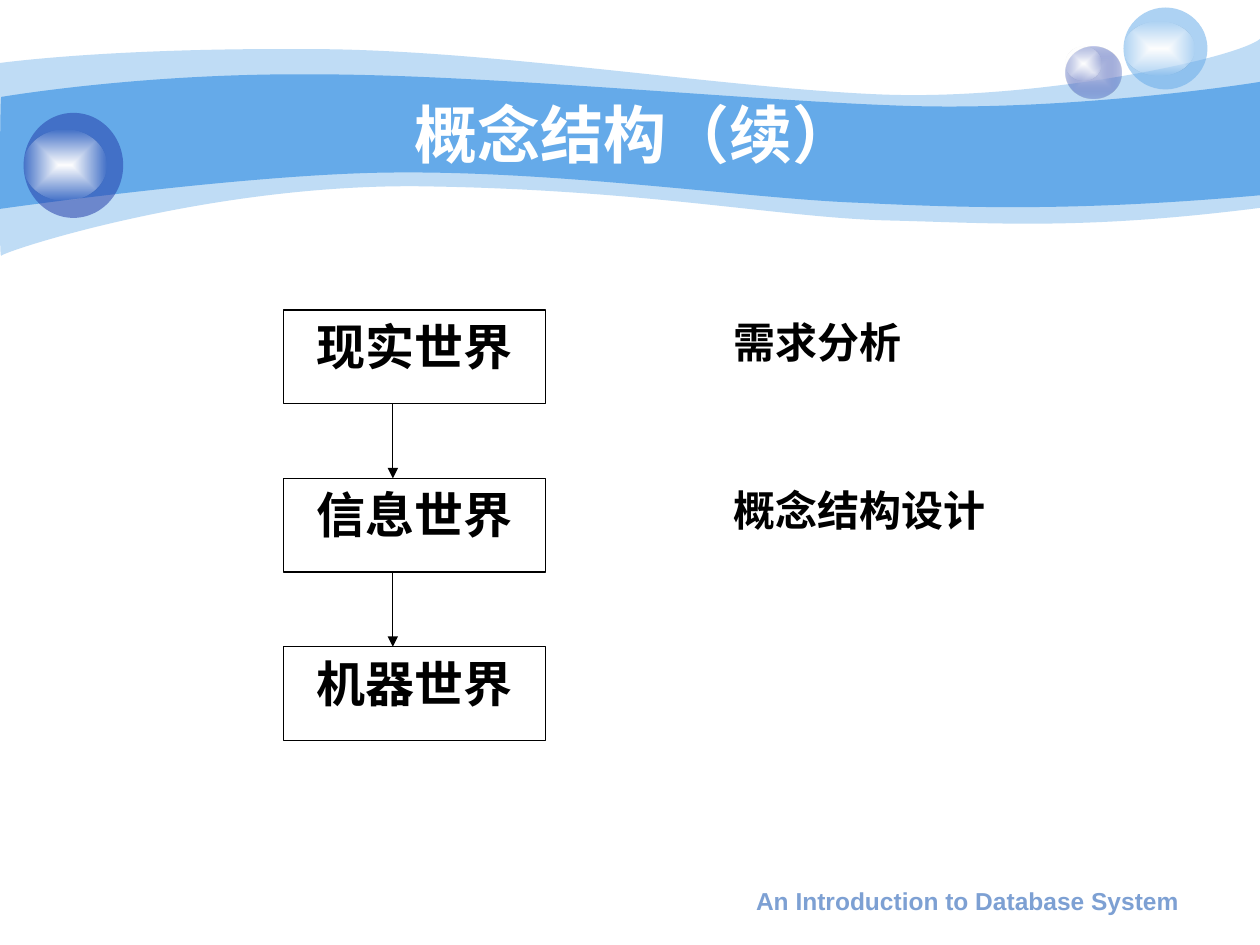
from dataclasses import dataclass

from lxml import etree
from pptx import Presentation
from pptx.dml.color import RGBColor
from pptx.enum.shapes import MSO_CONNECTOR, MSO_SHAPE
from pptx.enum.text import MSO_ANCHOR, PP_ALIGN
from pptx.oxml.ns import qn
from pptx.util import Pt

CENTER, JUSTIFY = PP_ALIGN.CENTER, PP_ALIGN.JUSTIFY
TOP, MIDDLE = MSO_ANCHOR.TOP, MSO_ANCHOR.MIDDLE
OVAL, RECTANGLE = MSO_SHAPE.OVAL, MSO_SHAPE.RECTANGLE
STRAIGHT = MSO_CONNECTOR.STRAIGHT


@dataclass(frozen=True)
class Theme:
    sky: str = "65AAE9"
    navy: str = "233DA9"
    mist: str = "C7CEE9"
    white: str = "FFFFFF"
    ink: str = "000000"
    footer: str = "7DA0D3"
    heading_font: str = "Arial"
    body_font: str = "Times New Roman"
    title_size: float = 36
    world_size: float = 28
    phase_size: float = 24
    footer_size: float = 14
    line_width: float = 0.75


def set_alpha(color_parent, percent):
    color = color_parent.find(".//" + qn("a:srgbClr"))
    etree.SubElement(color, qn("a:alpha"), val=str(percent * 1000))


class SlideBuilder:
    def __init__(self, slide, theme):
        self.shapes = slide.shapes
        self.theme = theme

    def solid(self, shape, color, alpha=100):
        shape.shadow.inherit = False
        shape.line.fill.background()
        shape.fill.solid()
        shape.fill.fore_color.rgb = RGBColor.from_string(color)
        if alpha < 100:
            set_alpha(shape._element.spPr.find(qn("a:solidFill")), alpha)

    def band(self, start, curves, color, alpha=100):
        points = [(Pt(x), Pt(y)) for curve in curves for x, y in curve]
        builder = self.shapes.build_freeform(Pt(start[0]), Pt(start[1]))
        builder.add_line_segments(points, close=True)
        shape = builder.convert_to_shape()
        outline = shape._element.spPr.find(".//" + qn("a:path"))
        corners = outline.findall(qn("a:lnTo"))
        for first in range(0, len(curves) * 3, 3):
            bezier = etree.Element(qn("a:cubicBezTo"))
            corners[first].addprevious(bezier)
            for corner in corners[first:first + 3]:
                bezier.append(corner[0])
                outline.remove(corner)
        self.solid(shape, color, alpha)

    def ball(self, left, top, width, height, color, alpha):
        shape = self.shapes.add_shape(OVAL, Pt(left), Pt(top), Pt(width), Pt(height))
        self.solid(shape, color, alpha)

    def glow(self, left, top, width, height, center, edge, edge_alpha):
        shape = self.shapes.add_shape(OVAL, Pt(left), Pt(top), Pt(width), Pt(height))
        shape.shadow.inherit = False
        shape.line.fill.background()
        shape.fill.gradient()
        for stop, color in zip(shape.fill.gradient_stops, (center, edge)):
            stop.color.rgb = RGBColor.from_string(color)
        gradient = shape._element.spPr.find(qn("a:gradFill"))
        set_alpha(gradient.find(qn("a:gsLst"))[-1], edge_alpha)
        linear = gradient.find(qn("a:lin"))
        radial = etree.Element(qn("a:path"))
        radial.set("path", "rect")
        etree.SubElement(radial, qn("a:fillToRect"), l="50000", t="50000", r="50000", b="50000")
        gradient.replace(linear, radial)

    def set_text(self, shape, text, size, font, color, align, anchor=TOP):
        frame = shape.text_frame
        frame.word_wrap = True
        frame.vertical_anchor = anchor
        paragraph = frame.paragraphs[0]
        paragraph.text = text
        paragraph.alignment = align
        paragraph.font.size = Pt(size)
        paragraph.font.name = font
        paragraph.font.bold = True
        paragraph.font.color.rgb = RGBColor.from_string(color)

    def label(self, left, top, width, height, *style):
        shape = self.shapes.add_textbox(Pt(left), Pt(top), Pt(width), Pt(height))
        self.set_text(shape, *style)

    def box(self, left, top, width, height, text):
        theme = self.theme
        shape = self.shapes.add_shape(RECTANGLE, Pt(left), Pt(top), Pt(width), Pt(height))
        shape.shadow.inherit = False
        shape.fill.background()
        shape.line.color.rgb = RGBColor.from_string(theme.ink)
        shape.line.width = Pt(theme.line_width)
        self.set_text(shape, text, theme.world_size, theme.body_font, theme.ink, CENTER)

    def arrow_down(self, x, start, end):
        connector = self.shapes.add_connector(STRAIGHT, Pt(x), Pt(start), Pt(x), Pt(end))
        connector.line.color.rgb = RGBColor.from_string(self.theme.ink)
        connector.line.width = Pt(self.theme.line_width)
        properties = connector._element.spPr
        etree.SubElement(properties.find(qn("a:ln")), qn("a:tailEnd"), type="triangle")
        etree.SubElement(properties, qn("a:effectLst"))


def draw_background(page, theme):
    page.band((0, 36), [
        [(17.3, 33.8), (77, 27.4), (177.8, 28.1)],
        [(277.9, 28.1), (414, 50.4), (503.3, 54)],
        [(591.8, 57.6), (705.6, 33.8), (720, 22.3)],
        [(720, 22.3), (720, 118.8), (720, 118.8)],
        [(618, 131.8), (566.6, 127.4), (507.6, 126)],
        [(447.8, 124.6), (370.8, 108.7), (247, 106.6)],
        [(123.8, 103.7), (2.9, 143.3), (0.7, 146.2)],
        [(-0.7, 149.8), (0, 54), (0, 36)],
    ], theme.sky, 41)
    page.band((0.7, 55.4), [
        [(1.4, 55.4), (79.2, 41.8), (178.6, 42.5)],
        [(277.9, 42.5), (428.4, 57.6), (517, 60.5)],
        [(605.5, 63.4), (702.7, 49.7), (720, 46.8)],
        [(720, 46.8), (720, 111.6), (720, 111.6)],
        [(614.2, 121), (550.8, 118.8), (491, 115.9)],
        [(431.3, 113.8), (321.8, 97.9), (228.2, 98.6)],
        [(146.2, 98.6), (-1.4, 119.5), (-0.7, 119.5)],
        [(0, 119.5), (0, 55.4), (0.7, 55.4)],
    ], theme.sky)
    page.glow(609.2, 26.9, 31.4, 29.5, theme.mist, theme.navy, 31)
    page.glow(609.2, 26.9, 20.2, 19.4, theme.white, theme.white, 0)
    page.ball(642, 4.3, 48, 46.8, theme.sky, 53)
    page.glow(642, 12.2, 40.3, 31, theme.white, theme.white, 0)
    page.ball(13.5, 64.5, 56.9, 60, theme.navy, 53)
    page.glow(13.5, 74.2, 47.5, 40.3, theme.white, theme.white, 0)


def draw_worlds(page, theme):
    worlds = [("现实世界", "需求分析", 137.5),
              ("信息世界", "概念结构设计", 212.4),
              ("机器世界", None, None)]
    first_top, pitch, height = 177.1, 96.25, 53.5
    for index, (world, phase, phase_width) in enumerate(worlds):
        top = first_top + index * pitch
        page.box(162, top, 149.9, height, world)
        if index:
            page.arrow_down(224.5, top - pitch + height, top)
        if phase:
            page.label(411.8, top, phase_width, 42.5, phase, theme.phase_size,
                       theme.body_font, theme.ink, JUSTIFY)


def main():
    theme = Theme()
    deck = Presentation()
    deck.slide_width, deck.slide_height = Pt(720), Pt(540)
    page = SlideBuilder(deck.slides.add_slide(deck.slide_layouts[6]), theme)
    draw_background(page, theme)
    page.label(411.1, 502.6, 283.7, 25.2, "An Introduction to Database System",
               theme.footer_size, theme.heading_font, theme.footer, CENTER)
    page.label(72, 54, 581.8, 44.6, "概念结构（续）", theme.title_size,
               theme.heading_font, theme.white, CENTER, MIDDLE)
    draw_worlds(page, theme)
    deck.save("out.pptx")


if __name__ == "__main__":
    main()
